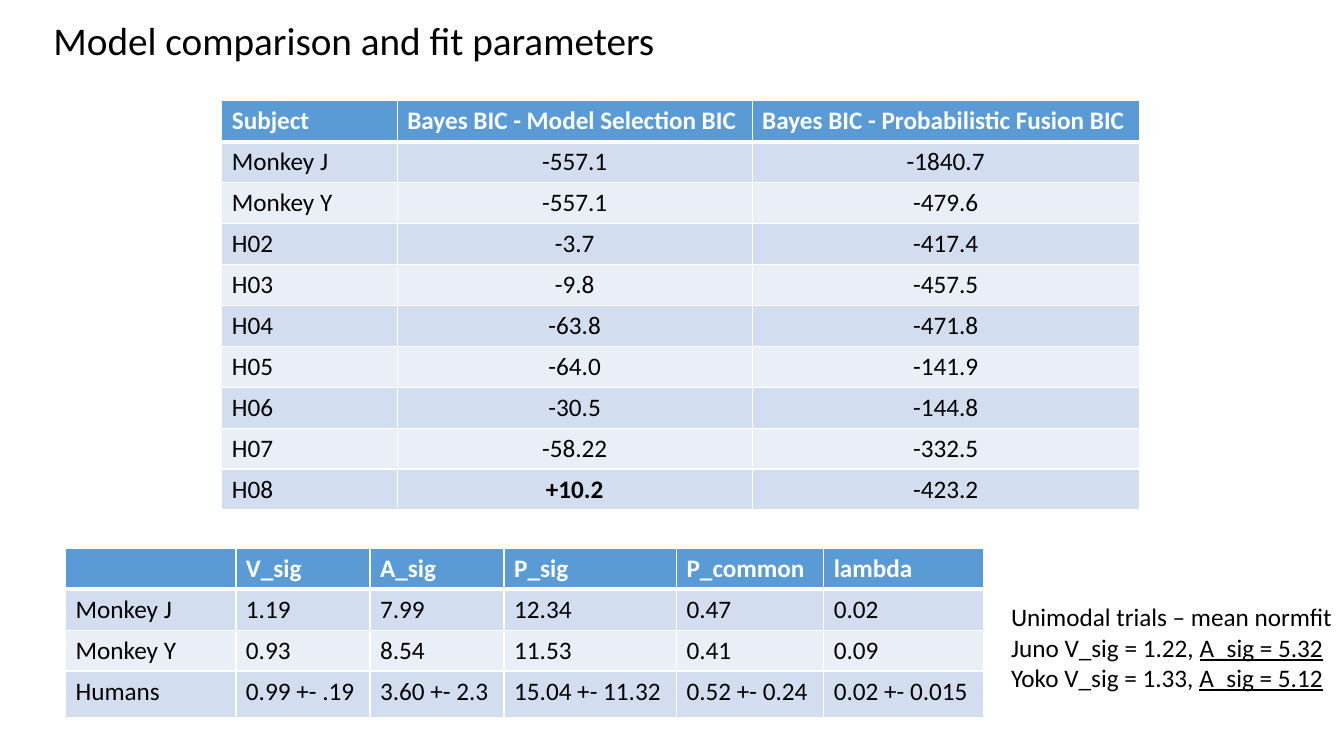
from dataclasses import dataclass

from lxml import etree
from pptx import Presentation
from pptx.dml.color import RGBColor
from pptx.enum import text as t
from pptx.oxml import ns
from pptx.util import Inches, Pt


@dataclass(frozen=True)
class Theme:
    font: str = "Calibri"
    title_size: int = 28
    body_size: int = 18
    ink: str = "000000"
    white: str = "FFFFFF"
    header: str = "5B9BD5"
    bands: tuple = ("D2DEEF", "EAEFF7")
    thin: int = 1
    thick: int = 3


THEME = Theme()

BIC_ROWS = [
    ("Subject", "Bayes BIC - Model Selection BIC", "Bayes BIC - Probabilistic Fusion BIC"),
    ("Monkey J", "-557.1", "-1840.7"),
    ("Monkey Y", "-557.1", "-479.6"),
    ("H02", "-3.7", "-417.4"),
    ("H03", "-9.8", "-457.5"),
    ("H04", "-63.8", "-471.8"),
    ("H05", "-64.0", "-141.9"),
    ("H06", "-30.5", "-144.8"),
    ("H07", "-58.22", "-332.5"),
    ("H08", "+10.2", "-423.2"),
]
FIT_ROWS = [
    ("", "V_sig", "A_sig", "P_sig", "P_common", "lambda"),
    ("Monkey J", "1.19", "7.99", "12.34", "0.47", "0.02"),
    ("Monkey Y", "0.93", "8.54", "11.53", "0.41", "0.09"),
    ("Humans", "0.99 +- .19", "3.60 +- 2.3", "15.04 +- 11.32", "0.52 +- 0.24", "0.02 +- 0.015"),
]
UNIMODAL_NOTE = [
    ("Unimodal trials – mean normfit", ""),
    ("Juno V_sig = 1.22, ", "A_sig = 5.32"),
    ("Yoko V_sig = 1.33, ", "A_sig = 5.12"),
]


def add_span(para, words, size=THEME.body_size, color=THEME.ink, bold=False, underline=False):
    span = para.add_run()
    span.text = words
    span.font.name = THEME.font
    span.font.size = Pt(size)
    span.font.color.rgb = RGBColor.from_string(color)
    span.font.bold = bold
    span.font.underline = underline


def set_borders(cell, row_number):
    widths = {
        "L": THEME.thin,
        "R": THEME.thin,
        "T": THEME.thick if row_number == 1 else THEME.thin,
        "B": THEME.thick if row_number == 0 else THEME.thin,
    }
    properties = cell._tc.get_or_add_tcPr()
    for position, (side, width) in enumerate(widths.items()):
        line = etree.Element(ns.qn(f"a:ln{side}"), w=str(Pt(width)))
        fill = etree.SubElement(line, ns.qn("a:solidFill"))
        etree.SubElement(fill, ns.qn("a:srgbClr"), val=THEME.white)
        properties.insert(position, line)


def add_title(page, words):
    title = page.shapes.title
    title.left, title.top = Inches(0.43), Inches(0.23)
    title.width, title.height = Inches(11.5), Inches(0.39)
    frame = title.text_frame
    frame.auto_size = t.MSO_AUTO_SIZE.NONE
    frame.vertical_anchor = t.MSO_ANCHOR.MIDDLE
    para = frame.paragraphs[0]
    para.alignment = t.PP_ALIGN.LEFT
    para.line_spacing = 0.9
    add_span(para, words, THEME.title_size)


def add_data_table(page, left, top, rows, widths, heights, centered=False, bold_values=()):
    table = page.shapes.add_table(
        len(rows), len(widths), Inches(left), Inches(top),
        Inches(sum(widths)), Inches(sum(heights)),
    ).table
    for column, width in zip(table.columns, widths):
        column.width = Inches(width)
    for row, height in zip(table.rows, heights):
        row.height = Inches(height)
    for row_number, values in enumerate(rows):
        is_header = row_number == 0
        fill = THEME.header if is_header else THEME.bands[(row_number - 1) % 2]
        color = THEME.white if is_header else THEME.ink
        for column_number, value in enumerate(values):
            cell = table.cell(row_number, column_number)
            cell.fill.solid()
            cell.fill.fore_color.rgb = RGBColor.from_string(fill)
            set_borders(cell, row_number)
            para = cell.text_frame.paragraphs[0]
            if centered and not is_header and column_number:
                para.alignment = t.PP_ALIGN.CENTER
            if value:
                add_span(para, value, color=color, bold=is_header or value in bold_values)


def add_note(page, lines):
    box = page.shapes.add_textbox(Inches(9.93), Inches(5.92), Inches(3.5), Inches(1.01))
    frame = box.text_frame
    frame.word_wrap = True
    frame.auto_size = t.MSO_AUTO_SIZE.SHAPE_TO_FIT_TEXT
    for number, (plain, underlined) in enumerate(lines):
        para = frame.add_paragraph() if number else frame.paragraphs[0]
        add_span(para, plain)
        if underlined:
            add_span(para, underlined, underline=True)


def main():
    deck = Presentation()
    deck.slide_width, deck.slide_height = Inches(13.33), Inches(7.5)
    page = deck.slides.add_slide(deck.slide_layouts.get_by_name("Title Only"))
    add_title(page, "Model comparison and fit parameters")
    add_data_table(
        page, 2.2, 1, BIC_ROWS, [1.74, 3.52, 3.84], [0.406] * len(BIC_ROWS),
        centered=True, bold_values=("+10.2",),
    )
    add_data_table(
        page, 0.65, 5.44, FIT_ROWS, [1.69, 1.33, 1.33, 1.71, 1.46, 1.59], [0.4, 0.4, 0.4, 0.46],
    )
    add_note(page, UNIMODAL_NOTE)
    deck.save("out.pptx")


if __name__ == "__main__":
    main()
